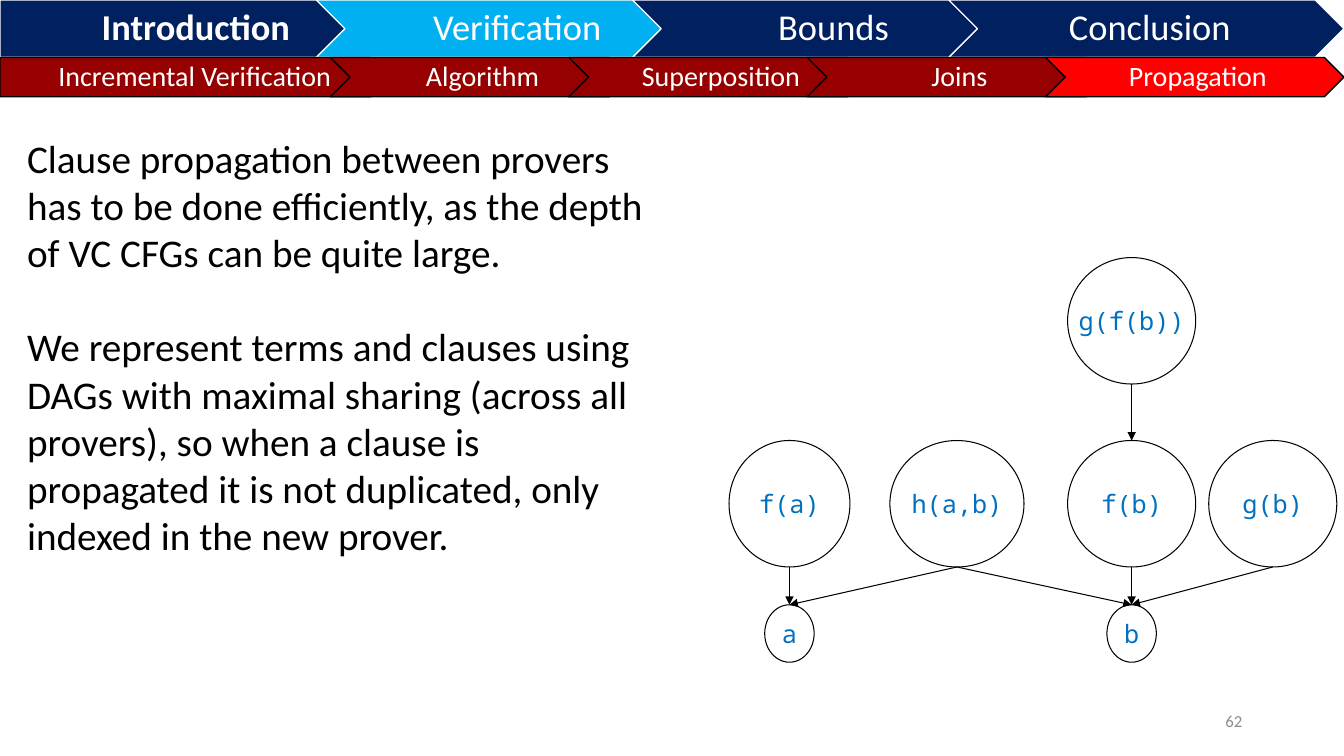
from lxml import etree
from pptx import Presentation, util as u
from pptx.dml.color import RGBColor
from pptx.enum import shapes, text
from pptx.oxml.ns import qn

rgb = RGBColor.from_string
deck = Presentation()
deck.slide_width, deck.slide_height = u.Inches(13.33), u.Inches(7.5)
page = deck.slides.add_slide(deck.slide_layouts[6])


def place(left, top, width, height):
    """Turn percentages of the slide's width and height into lengths."""
    across, down = deck.slide_width / 100, deck.slide_height / 100
    return [round(n) for n in (left * across, top * down, width * across, height * down)]


def write(box, *lines, size, color, font="Calibri", bold=False, align=text.PP_ALIGN.LEFT,
          anchor=text.MSO_ANCHOR.MIDDLE, wrap=True, insets=(0.1, 0.05, 0.1, 0.05),
          spacing=1.0, gap=0):
    frame = box.text_frame
    frame.word_wrap, frame.vertical_anchor = wrap, anchor
    (frame.margin_left, frame.margin_top,
     frame.margin_right, frame.margin_bottom) = map(u.Inches, insets)
    for i, line in enumerate(lines):
        para = frame.add_paragraph() if i else frame.paragraphs[0]
        para.alignment, para.line_spacing = align, spacing
        if i:
            para.space_before = u.Pt(gap)
        span = para.add_run()
        span.text = line
        span.font.name, span.font.size, span.font.bold = font, u.Pt(size), bold
        span.font.color.rgb = rgb(color)


# Body text
body = page.shapes.add_textbox(*place(1.28, 17.07, 47.71, 57.87))
write(body,
      "Clause propagation between provers has to be done efficiently, "
      "as the depth of VC CFGs can be quite large.",
      "We represent terms and clauses using DAGs with maximal sharing (across all provers), "
      "so when a clause is propagated it is not duplicated, only indexed in the new prover.",
      size=28, color="000000", anchor=text.MSO_ANCHOR.TOP, gap=34)

# Term nodes: label, centre, top, width, height
A_CENTRE, B_CENTRE = 58.74, 84.2
TERM_TOP, TERM_HEIGHT, TERM_WIDTH = 58.27, 16.73, 9.53
terms = [
    ("g(f(b))", B_CENTRE, 34.07, TERM_WIDTH, TERM_HEIGHT),
    ("f(a)", A_CENTRE, TERM_TOP, 9, TERM_HEIGHT),
    ("h(a,b)", 71.2, TERM_TOP, 9.98, TERM_HEIGHT),
    ("f(b)", B_CENTRE, TERM_TOP, TERM_WIDTH, TERM_HEIGHT),
    ("g(b)", 94.7, TERM_TOP, TERM_WIDTH, TERM_HEIGHT),
    ("a", A_CENTRE, 80, 3.68, 7.6),
    ("b", B_CENTRE, 80, 3.68, 7.6),
]
nodes = {}
for label, centre, top, width, height in terms:
    node = page.shapes.add_shape(shapes.MSO_SHAPE.OVAL,
                                 *place(centre - width / 2, top, width, height))
    node.shadow.inherit = False
    node.fill.background()
    node.line.color.rgb, node.line.width = rgb("000000"), u.Pt(0.75)
    write(node, label, size=18, color="0070C0", font="Noto Sans Mono",
          align=text.PP_ALIGN.CENTER, wrap=False, insets=(0, 0, 0, 0))
    nodes[label] = node

# Arrows from each term to its arguments
for parent, child in [("g(f(b))", "f(b)"), ("f(a)", "a"), ("h(a,b)", "a"),
                      ("h(a,b)", "b"), ("f(b)", "b"), ("g(b)", "b")]:
    start, end = nodes[parent], nodes[child]
    arrow = page.shapes.add_connector(
        shapes.MSO_CONNECTOR.STRAIGHT,
        start.left + start.width // 2, start.top + start.height,
        end.left + end.width // 2, end.top)
    arrow.line.color.rgb, arrow.line.width = rgb("000000"), u.Pt(0.75)
    etree.SubElement(arrow.line._get_or_add_ln(), qn("a:tailEnd"), type="triangle")
    etree.SubElement(arrow._element.spPr, qn("a:effectLst"))

# Navigation bands: labels, active and bold steps, and the look of each band
NAVY, SKY, MAROON, RED = "002060", "00B0F0", "960000", "FF0000"
bands = [
    dict(labels=["Introduction", "Verification", "Bounds", "Conclusion"],
         active="Verification", fills=(NAVY, SKY), outline="FFFFFF", size=26,
         top=0, height=7.6, first=29.41, width=29.41, step=23.53,
         insets=[(0.15, 0.08, 0.04, 0.08), (0.11, 0.08, 0.04, 0.08)]),
    dict(labels=["Incremental Verification", "Algorithm", "Superposition", "Joins",
                 "Propagation"],
         active="Propagation", fills=(MAROON, RED), outline="000000", size=20,
         top=7.6, height=5.2, first=29.03, width=22.2, step=17.74,
         insets=[(0.12, 0.06, 0.03, 0.06), (0.09, 0.06, 0.03, 0.06)]),
]
for band in bands:
    last = len(band["labels"]) - 1
    for i, label in enumerate(band["labels"]):
        kind = shapes.MSO_SHAPE.CHEVRON if i else shapes.MSO_SHAPE.PENTAGON
        left = 100 - band["width"] - (last - i) * band["step"] if i else 0
        width = band["width"] if i else band["first"]
        tab = page.shapes.add_shape(kind, *place(left, band["top"], width, band["height"]))
        tab.shadow.inherit = False
        tab.fill.solid()
        tab.fill.fore_color.rgb = rgb(band["fills"][label == band["active"]])
        tab.line.color.rgb, tab.line.width = rgb(band["outline"]), u.Pt(1)
        write(tab, label, size=band["size"], color="FFFFFF", bold=label == "Introduction",
              align=text.PP_ALIGN.CENTER, insets=band["insets"][i > 0], spacing=0.9)

# Slide number
number = page.shapes.add_textbox(*place(70.67, 92.67, 22.5, 5.33))
write(number, "62", size=12, color="8C8C8C", align=text.PP_ALIGN.RIGHT)

deck.save("out.pptx")
